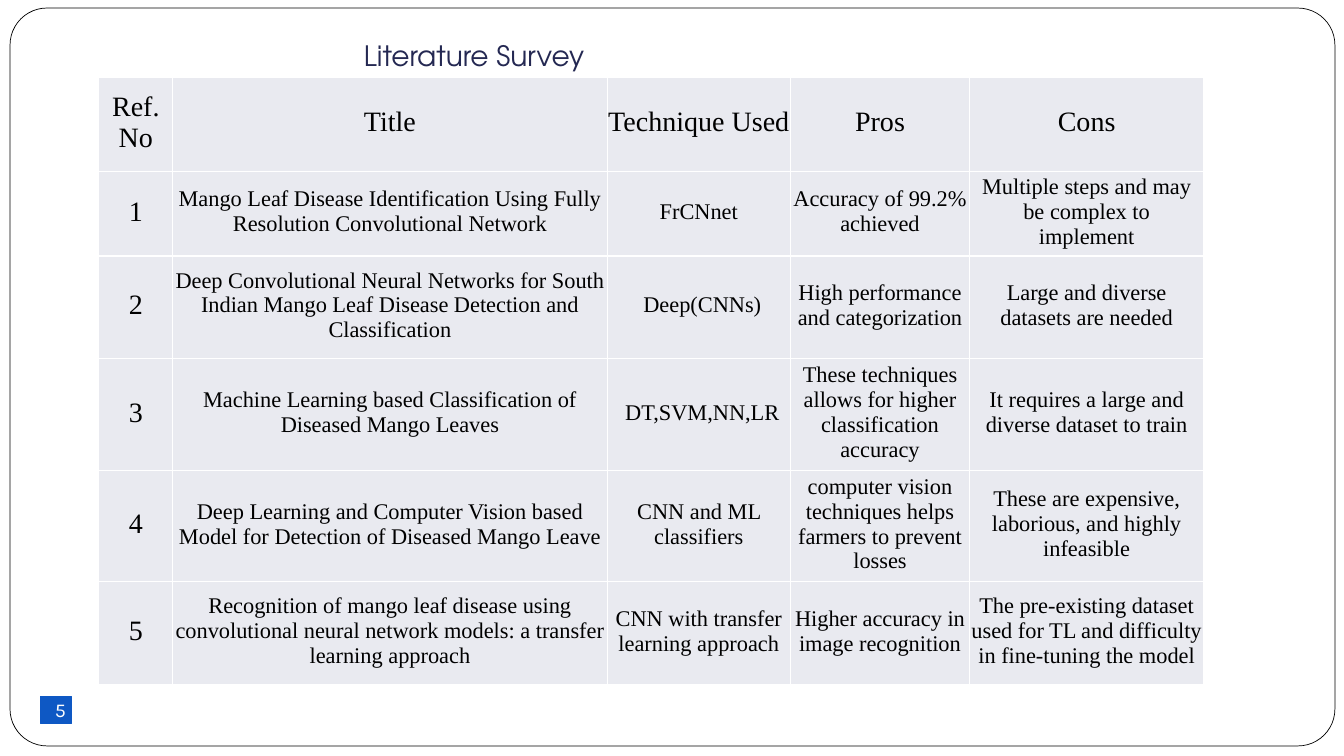
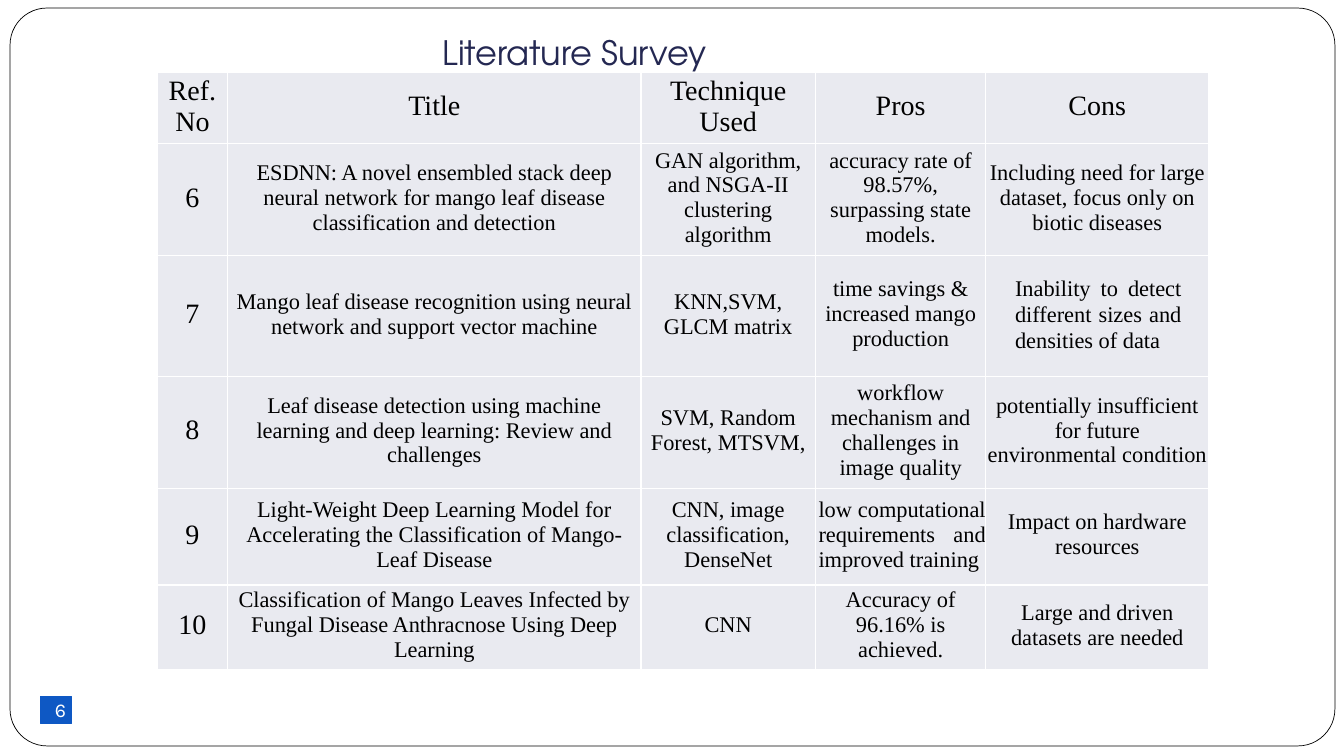
from dataclasses import dataclass

from lxml.etree import SubElement
from pptx import Presentation
from pptx.dml.color import RGBColor
from pptx.enum.shapes import MSO_SHAPE as Preset
from pptx.enum.text import MSO_ANCHOR as Anchor, MSO_AUTO_SIZE as AutoSize, PP_ALIGN as Align
from pptx.oxml.ns import qn
from pptx.util import Emu, Inches, Pt

# Shared look
SLIDE_W, SLIDE_H = 13.33, 7.5
WHITE, BLACK, NAVY, BLUE, PALE = "FFFFFF", "000000", "242852", "0E58C4", "E9EAF0"
TITLE_FONT, TABLE_FONT, NUMBER_FONT = "TeX Gyre Adventor", "Times New Roman", "Karla"
HEADING_SIZE, BODY_SIZE = 20, 16
COLUMN_SHARES = (6.7, 39.3, 16.6, 16.2, 21.2)  # percent of the table's width
HEADINGS = ("Ref. No", "Title", "Technique Used", "Pros", "Cons")


@dataclass(frozen=True)
class Box:
    left: float
    top: float
    width: float
    height: float

    def emu(self) -> tuple[Emu, ...]:
        return tuple(Inches(v) for v in (self.left, self.top, self.width, self.height))


@dataclass(frozen=True)
class Entry:
    """Text of one cell; left and right are its insets in inches."""
    text: str
    left: float = 0
    right: float = 0
    align: Align = Align.CENTER
    spacing: float = 1


@dataclass(frozen=True)
class Survey:
    page: int
    title_size: int
    title_box: Box
    table_box: Box
    row_heights: tuple[float, ...]
    papers: tuple[tuple, ...]


FRAME = Box(0.1, 0.08, SLIDE_W - 0.19, SLIDE_H - 0.18)
PAGE_BOX = Box(0.4, 6.91, 0.31, 0.27)

# Content
SURVEYS = (
    Survey(
        5, 20, Box(3.6, 0.37, 4.91, 0.35), Box(0.98, 0.77, 10.96, 6),
        (0.93, 0.83, 1.02, 1.1, 1.1, 1.02),
        (
            ("Mango Leaf Disease Identification Using Fully Resolution Convolutional Network",
             "FrCNnet", "Accuracy of 99.2% achieved",
             Entry("Multiple steps and may be complex to implement", left=0.12, right=0.12)),
            ("Deep Convolutional Neural Networks for South Indian Mango Leaf Disease "
             "Detection and Classification",
             Entry("Deep(CNNs)", left=0.07), "High performance and categorization",
             Entry("Large and diverse datasets are needed", left=0.2, right=0.2)),
            ("Machine Learning based Classification of Diseased Mango Leaves",
             Entry("DT,SVM,NN,LR", left=0.07),
             "These techniques allows for higher classification accuracy",
             "It requires a large and diverse dataset to train"),
            ("Deep Learning and Computer Vision based\n"
             "Model for Detection of Diseased Mango Leave",
             "CNN and ML classifiers", "computer vision techniques helps farmers to prevent losses",
             "These are expensive, laborious, and highly infeasible"),
            ("Recognition of mango leaf disease using convolutional neural network models: "
             "a transfer learning approach",
             "CNN with transfer learning approach", "Higher accuracy in image recognition",
             "The pre-existing dataset used for TL and difficulty in fine-tuning the model"),
        ),
    ),
    Survey(
        6, 24, Box(4.38, 0.3, 4.99, 0.42), Box(1.56, 0.72, 10.43, 5.84),
        (0.68, 1.11, 1.2, 1.08, 0.96, 0.81),
        (
            (Entry("ESDNN: A novel ensembled stack deep neural network for mango leaf disease "
                   "classification and detection", left=0.1, right=0.1),
             "GAN algorithm, and NSGA-II clustering\nalgorithm",
             "accuracy rate of 98.57%,\nsurpassing state models.",
             "Including need for large dataset, focus only on biotic diseases"),
            ("Mango leaf disease recognition using neural network and support vector machine",
             "KNN,SVM,\nGLCM matrix", "time savings & increased mango production",
             Entry("Inability to detect different sizes and densities of data",
                   left=0.29, right=0.27, align=Align.JUSTIFY, spacing=1.06)),
            ("Leaf disease detection using machine\nlearning and deep learning: Review and\n"
             "challenges",
             "SVM, Random Forest, MTSVM,", "workflow\nmechanism and challenges in\nimage quality",
             "potentially insufficient\nfor future\nenvironmental condition"),
            ("Light-Weight Deep Learning Model for Accelerating the Classification of Mango-\n"
             "Leaf Disease",
             "CNN, image classification, DenseNet",
             Entry("low computational requirements and improved training",
                   left=0.03, align=Align.JUSTIFY),
             "Impact on hardware resources"),
            ("Classification of Mango Leaves Infected by Fungal Disease Anthracnose Using Deep "
             "Learning",
             "CNN", "Accuracy of\n96.16% is\nachieved.", "Large and driven datasets are needed"),
        ),
    ),
)


# Drawing helpers
def color(code: str) -> RGBColor:
    return RGBColor.from_string(code)


def write_text(frame, text: str, *, size: float, font: str, ink: str,
               align: Align = Align.CENTER, anchor: Anchor = Anchor.MIDDLE,
               insets: tuple = (0, 0, 0, 0), spacing: float = 1, before: float = 0) -> None:
    """Fill a text frame or a cell; each newline becomes a line break."""
    holder = frame
    frame = getattr(holder, "text_frame", holder)
    holder.margin_left, holder.margin_top, holder.margin_right, holder.margin_bottom = (
        Inches(v) for v in insets)
    holder.vertical_anchor = anchor
    frame.word_wrap = True
    paragraph = frame.paragraphs[0]
    paragraph.alignment = align
    paragraph.line_spacing = spacing
    paragraph.space_before = Pt(before)
    for index, line in enumerate(text.split("\n")):
        if index:
            paragraph.add_line_break()
        run = paragraph.add_run()
        run.text = line
        run.font.size, run.font.name, run.font.bold = Pt(size), font, False
        run.font.color.rgb = color(ink)


def add_panel(slide, preset: Preset, box: Box, fill: str, line: str, weight: float):
    panel = slide.shapes.add_shape(preset, *box.emu())
    panel.shadow.inherit = False
    panel.fill.solid()
    panel.fill.fore_color.rgb = color(fill)
    panel.line.color.rgb = color(line)
    panel.line.width = Pt(weight)
    return panel


def set_borders(cell, code: str, weight: float) -> None:
    properties = cell._tc.get_or_add_tcPr()
    for side in ("a:lnL", "a:lnR", "a:lnT", "a:lnB"):
        border = SubElement(properties, qn(side), w=str(Pt(weight)))
        SubElement(SubElement(border, qn("a:solidFill")), qn("a:srgbClr"), val=code)


def fill_cell(cell, entry: Entry, size: float) -> None:
    set_borders(cell, WHITE, 1)
    cell.fill.solid()
    cell.fill.fore_color.rgb = color(PALE)
    write_text(cell, entry.text, size=size, font=TABLE_FONT, ink=BLACK, align=entry.align,
               insets=(entry.left, 0, entry.right, 0.04), spacing=entry.spacing)


def add_survey_table(slide, survey: Survey, first_number: int) -> None:
    numbered = [(str(n), *paper) for n, paper in enumerate(survey.papers, first_number)]
    rows = [HEADINGS, *numbered]
    table = slide.shapes.add_table(len(rows), len(HEADINGS), *survey.table_box.emu()).table
    table.first_row = table.horz_banding = False
    for column, share in zip(table.columns, COLUMN_SHARES):
        column.width = Inches(survey.table_box.width * share / 100)
    for row, height in zip(table.rows, survey.row_heights):
        row.height = Inches(height)
    for r, row in enumerate(rows):
        for c, content in enumerate(row):
            entry = content if isinstance(content, Entry) else Entry(content)
            fill_cell(table.cell(r, c), entry, HEADING_SIZE if 0 in (r, c) else BODY_SIZE)


def add_survey_slide(deck, survey: Survey, first_number: int) -> None:
    slide = deck.slides.add_slide(deck.slide_layouts[5])
    # Title, above the rounded frame
    title = slide.shapes.title
    title.left, title.top, title.width, title.height = survey.title_box.emu()
    write_text(title.text_frame, "Literature Survey", size=survey.title_size, font=TITLE_FONT,
               ink=NAVY, align=Align.LEFT, anchor=Anchor.BOTTOM, insets=(0.01, 0.01, 0, 0),
               before=0.9)
    title.text_frame.auto_size = AutoSize.SHAPE_TO_FIT_TEXT
    frame = add_panel(slide, Preset.ROUNDED_RECTANGLE, FRAME, WHITE, BLACK, 0.5)
    frame.adjustments[0] = 0.05
    title.element.addprevious(frame.element)
    # Table and page number
    add_survey_table(slide, survey, first_number)
    badge = add_panel(slide, Preset.RECTANGLE, PAGE_BOX, BLUE, BLUE, 0.75)
    write_text(badge.text_frame, str(survey.page), size=14, font=NUMBER_FONT, ink=WHITE,
               insets=(0.09, 0, 0, 0), before=1.1)


def main() -> None:
    deck = Presentation()
    deck.slide_width, deck.slide_height = Inches(SLIDE_W), Inches(SLIDE_H)
    first_number = 1
    for survey in SURVEYS:
        add_survey_slide(deck, survey, first_number)
        first_number += len(survey.papers)
    deck.save("out.pptx")


if __name__ == "__main__":
    main()
